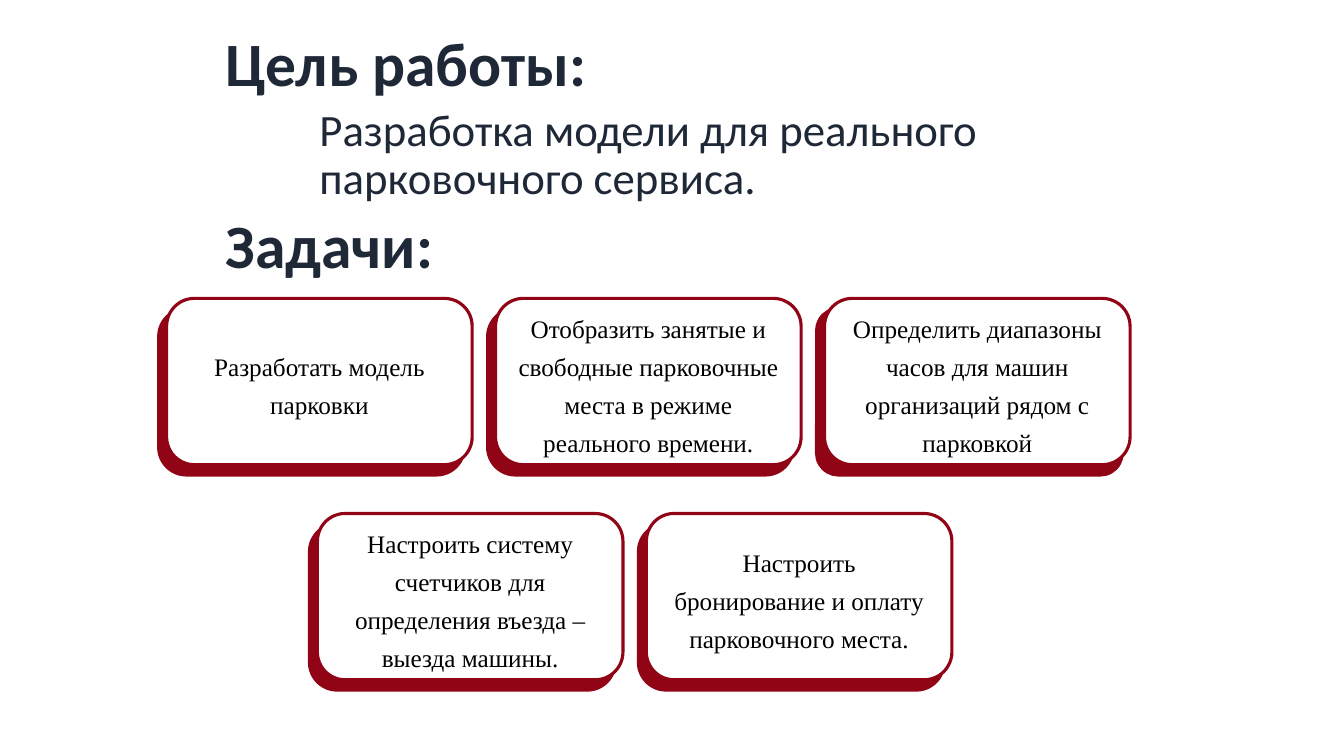
"""Build a slide with the goal of the work and its five task cards."""
from dataclasses import dataclass

from pptx import Presentation
from pptx.dml.color import RGBColor
from pptx.enum.shapes import MSO_SHAPE
from pptx.enum.text import MSO_ANCHOR, PP_ALIGN
from pptx.shapes.autoshape import Shape
from pptx.shapes.shapetree import GroupShapes, SlideShapes
from pptx.util import Cm, Pt

ROUNDED = MSO_SHAPE.ROUNDED_RECTANGLE
TOP, MIDDLE = MSO_ANCHOR.TOP, MSO_ANCHOR.MIDDLE
LEFT, CENTER = PP_ALIGN.LEFT, PP_ALIGN.CENTER


@dataclass(frozen=True)
class Theme:
    """Colours, fonts and type sizes."""
    ink: RGBColor = RGBColor(0x1F, 0x28, 0x37)
    ink_end: RGBColor = RGBColor(0x93, 0x04, 0x16)
    crimson: RGBColor = RGBColor(0x91, 0x04, 0x15)
    white: RGBColor = RGBColor(0xFF, 0xFF, 0xFF)
    black: RGBColor = RGBColor(0, 0, 0)
    heading_font: str = "Calibri"
    task_font: str = "Times New Roman"
    heading_size: float = 44
    goal_size: float = 32
    task_size: float = 18
    border: float = 2.25


@dataclass(frozen=True)
class Statement:
    """A heading or goal text with its box in centimetres."""
    text: str
    left: float
    top: float
    width: float
    height: float
    size: float
    bold: bool = False
    anchor: MSO_ANCHOR = MIDDLE


@dataclass(frozen=True)
class Task:
    """A task text and the corner rounding of its backing."""
    text: str
    backing_corner: float = 0.167


@dataclass(frozen=True)
class TaskRow:
    """A row of task cards starting at a point in centimetres."""
    left: float
    top: float
    tasks: tuple[Task, ...]


THEME = Theme()
CARD_WIDTH, CARD_HEIGHT, CARD_PITCH = 7.7, 4.19, 8.29
FACE_SHIFT_X, FACE_SHIFT_Y = 0.2, -0.26
STATEMENTS = (
    Statement("Цель работы:", 5.44, 0.71, 16.36, 1.93, THEME.heading_size, bold=True),
    Statement("Разработка модели для реального парковочного сервиса.",
              7.8, 2.59, 18.14, 3, THEME.goal_size, anchor=TOP),
    Statement("Задачи:", 5.44, 5.31, 16.36, 1.93, THEME.heading_size, bold=True),
)
TASK_ROWS = (
    TaskRow(4, 7.78, (
        Task("Разработать модель парковки"),
        Task("Отобразить занятые и свободные парковочные места в режиме реального времени."),
        Task("Определить диапазоны часов для машин организаций рядом с парковкой", 0.131),
    )),
    TaskRow(7.8, 13.2, (
        Task("Настроить систему счетчиков для определения въезда – выезда машины."),
        Task("Настроить бронирование и оплату парковочного места."),
    )),
)


def write_text(holder: Shape, text: str, *, font: str, size: float, color: RGBColor,
               color_end: RGBColor | None = None, bold: bool = False,
               align: PP_ALIGN = LEFT, anchor: MSO_ANCHOR = MIDDLE,
               line_spacing: float = 0.9) -> None:
    """Write one formatted paragraph, with a vertical gradient if an end colour is given."""
    frame = holder.text_frame
    frame.word_wrap = True
    frame.vertical_anchor = anchor
    paragraph = frame.paragraphs[0]
    paragraph.alignment = align
    paragraph.line_spacing = line_spacing
    run = paragraph.add_run()
    run.text = text
    run.font.name, run.font.size, run.font.bold = font, Pt(size), bold
    if color_end is None:
        run.font.color.rgb = color
    else:
        run.font.fill.gradient()
        run.font.fill.gradient_angle = 270
        for stop, shade in zip(run.font.fill.gradient_stops, (color, color_end)):
            stop.color.rgb = shade


def add_statement(shapes: SlideShapes, statement: Statement) -> None:
    """Add a heading or the goal text."""
    box = shapes.add_textbox(Cm(statement.left), Cm(statement.top),
                             Cm(statement.width), Cm(statement.height))
    write_text(box, statement.text, font=THEME.heading_font, size=statement.size,
               color=THEME.ink, color_end=THEME.ink_end, bold=statement.bold,
               anchor=statement.anchor)


def add_panel(shapes: GroupShapes, left: float, top: float, fill: RGBColor,
              corner: float = 0.167) -> Shape:
    """Add one rounded layer of a card."""
    panel = shapes.add_shape(ROUNDED, Cm(left), Cm(top), Cm(CARD_WIDTH), Cm(CARD_HEIGHT))
    panel.adjustments[0] = corner
    panel.shadow.inherit = False
    panel.fill.solid()
    panel.fill.fore_color.rgb = fill
    panel.line.color.rgb = THEME.crimson
    panel.line.width = Pt(THEME.border)
    return panel


def add_task_card(shapes: SlideShapes, left: float, top: float, task: Task) -> None:
    """Add a grouped card: crimson backing and white face with the task."""
    card = shapes.add_group_shape().shapes
    add_panel(card, left, top, THEME.crimson, task.backing_corner)
    face = add_panel(card, left + FACE_SHIFT_X, top + FACE_SHIFT_Y, THEME.white)
    write_text(face, task.text, font=THEME.task_font, size=THEME.task_size,
               color=THEME.black, align=CENTER, line_spacing=1.25)


def main() -> None:
    """Build and save the slide."""
    deck = Presentation()
    deck.slide_width, deck.slide_height = Cm(33.87), Cm(19.05)
    shapes = deck.slides.add_slide(deck.slide_layouts[6]).shapes
    for statement in STATEMENTS:
        add_statement(shapes, statement)
    for row in TASK_ROWS:
        for column, task in enumerate(row.tasks):
            add_task_card(shapes, row.left + column * CARD_PITCH, row.top, task)
    deck.save("out.pptx")


if __name__ == "__main__":
    main()
